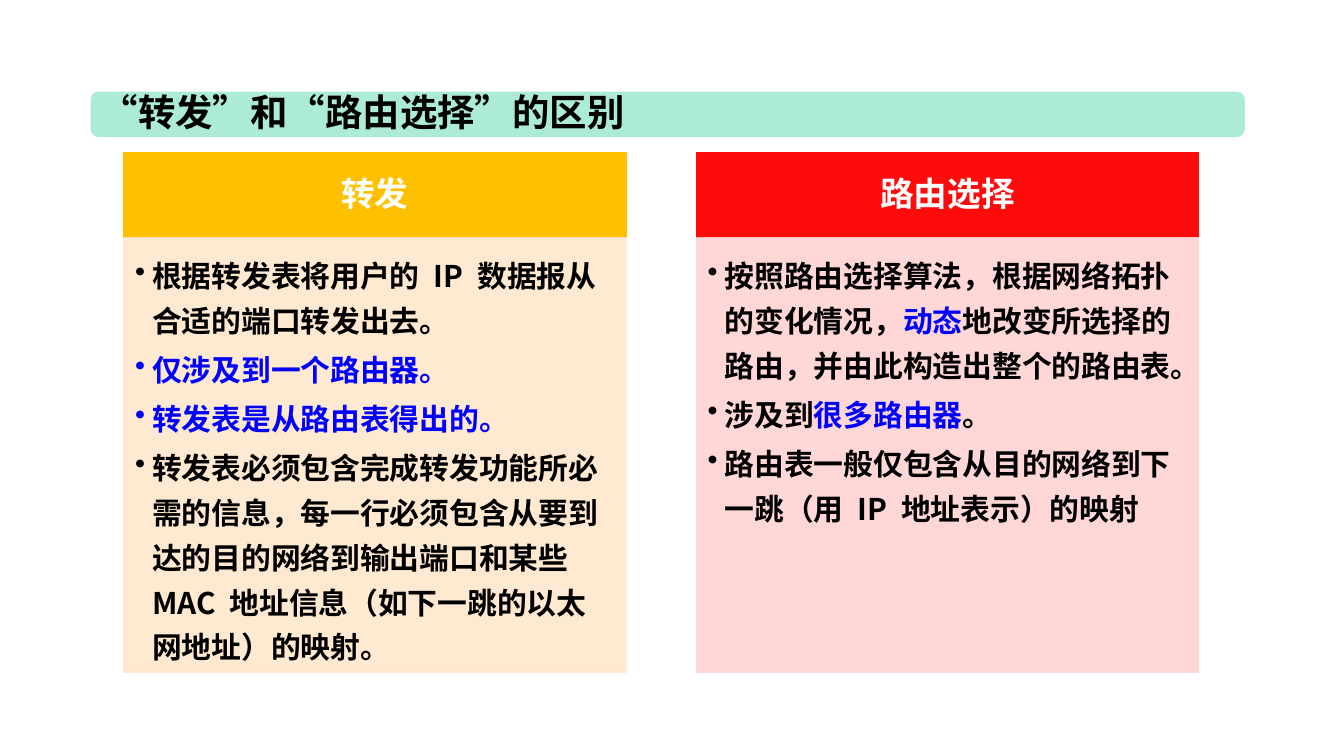
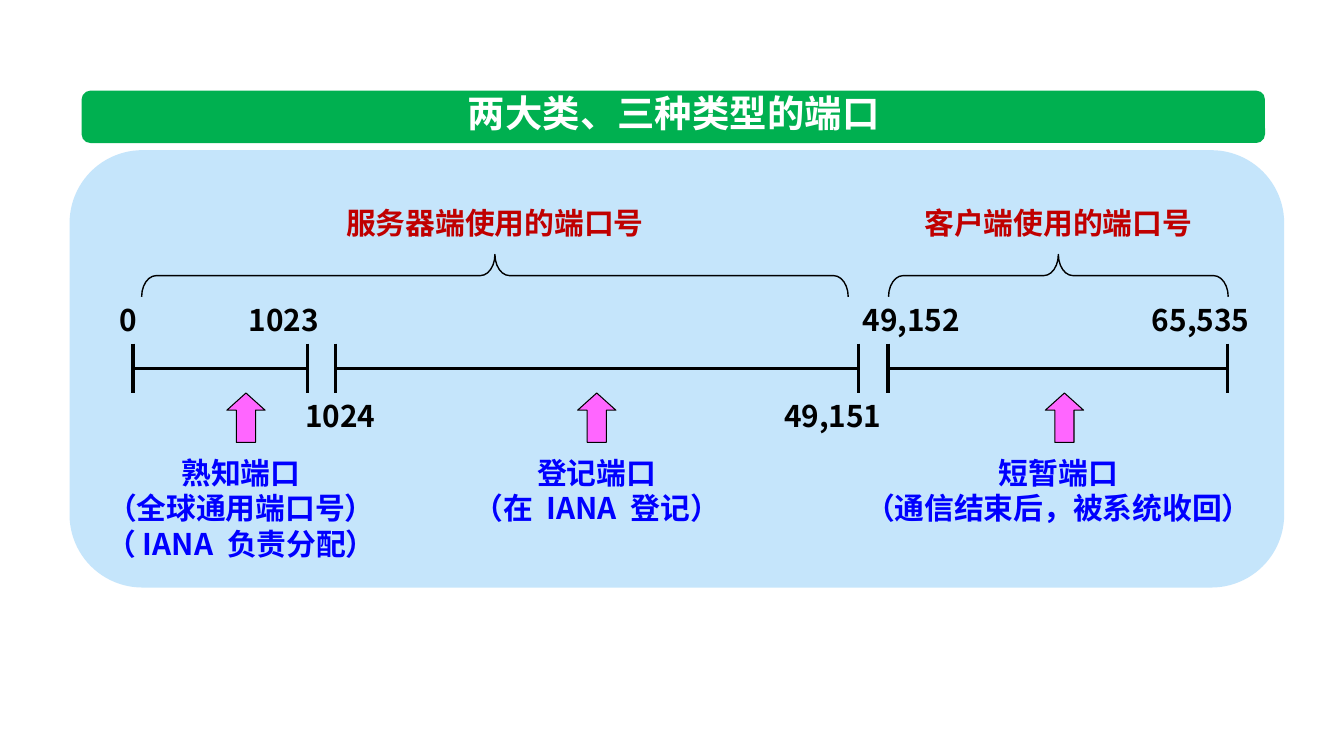
import pptx
import pptx.dml.color
import pptx.enum.shapes
import pptx.enum.text
import pptx.oxml.ns
import pptx.util
import lxml.etree

RGB = pptx.dml.color.RGBColor
KIND = pptx.enum.shapes.MSO_SHAPE
ALIGN = pptx.enum.text.PP_ALIGN
ANCHOR = pptx.enum.text.MSO_ANCHOR
GROW = pptx.enum.text.MSO_AUTO_SIZE.SHAPE_TO_FIT_TEXT
Pt = pptx.util.Pt
qn = pptx.oxml.ns.qn

BLACK = RGB(0, 0, 0)
WHITE = RGB(255, 255, 255)
BLUE = RGB(0, 0, 255)
MINT = RGB(0xAB, 0xEB, 0xD7)
GREEN = RGB(0x00, 0xB0, 0x50)
GOLD = RGB(0xFF, 0xC0, 0x00)
CREAM = RGB(0xFF, 0xE8, 0xCC)
RED = RGB(0xFF, 0x0B, 0x0B)
PINK = RGB(0xFF, 0xD3, 0xD3)
SKY = RGB(0xC5, 0xE5, 0xFB)
DARK = RGB(0xC0, 0x00, 0x00)
ROSE = RGB(0xFF, 0x66, 0xFF)

FONT = "Noto Sans CJK SC"
BIG, MID, BODY = 26.7, 24, 21.3

deck = pptx.Presentation()
deck.slide_width = pptx.util.Inches(13.33)
deck.slide_height = pptx.util.Inches(7.5)
COLS = 160
UNIT = deck.slide_width / COLS


def put(slide, kind, x, y, w, h, fill=None, line=None, width=1):
    area = [round(n * UNIT) for n in (x, y, w, h)]
    if kind is None:
        box = slide.shapes.add_textbox(*area)
        box.text_frame.word_wrap = False
        box.text_frame.auto_size = GROW
        return box
    box = slide.shapes.add_shape(kind, *area)
    box.shadow.inherit = False
    if fill is None:
        box.fill.background()
    else:
        box.fill.solid()
        box.fill.fore_color.rgb = fill
    if line is None:
        box.line.fill.background()
    else:
        box.line.color.rgb = line
        box.line.width = Pt(width)
    return box


def write(box, paras, size, align=ALIGN.LEFT):
    frame = box.text_frame
    for i, runs in enumerate(paras):
        para = frame.paragraphs[0] if i == 0 else frame.add_paragraph()
        para.alignment = align
        for text, tone in runs:
            run = para.add_run()
            run.text = text
            run.font.size = Pt(size)
            run.font.bold = True
            run.font.name = FONT
            run.font.color.rgb = tone
            props = run._r.get_or_add_rPr()
            lxml.etree.SubElement(props, qn("a:ea")).set("typeface", FONT)
    return frame


heads = [
    ("“转发”和“路由选择”的区别", BLACK, MINT, ALIGN.LEFT,
     (10.8, 10.92, 137.4, 5.4), (10.8, 9.96, 65.16, 6.6)),
    ("两大类、三种类型的端口", WHITE, GREEN, ALIGN.CENTER,
     (9.72, 10.8, 140.88, 6.24), (54.36, 10.2, 51.72, 6.6)),
]
slides = []
for text, tone, fill, align, band, spot in heads:
    slide = deck.slides.add_slide(deck.slide_layouts[6])
    slides.append(slide)
    put(slide, KIND.ROUNDED_RECTANGLE, *band, fill)
    write(put(slide, None, *spot), [[(text, tone)]], BIG, align)
first, second = slides

cards = [
    ("转发", GOLD, CREAM, [
        [("根据转发表将用户的 IP 数据报从合适的端口转发出去。", BLACK)],
        [("仅涉及到一个路由器。", BLUE)],
        [("转发表是从路由表得出的。", BLUE)],
        [("转发表必须包含完成转发功能所必需的信息，每一行必须包含从要到达的目的网络到输出端口和某些 MAC 地址信息（如下一跳的以太网地址）的映射。", BLACK)],
    ]),
    ("路由选择", RED, PINK, [
        [("按照路由选择算法，根据网络拓扑的变化情况，", BLACK), ("动态", BLUE),
         ("地改变所选择的路由，并由此构造出整个的路由表。", BLACK)],
        [("涉及到", BLACK), ("很多路由器", BLUE), ("。", BLACK)],
        [("路由表一般仅包含从目的网络到下一跳（用 IP 地址表示）的映射", BLACK)],
    ]),
]
LEFT, STEP, WIDE = 14.76, 68.16, 59.76
TOP, HEAD, DEEP = 18.24, 10.08, 51.72
for i, (name, dark, pale, points) in enumerate(cards):
    x = LEFT + i * STEP
    box = put(first, KIND.RECTANGLE, x, TOP, WIDE, HEAD, dark, dark)
    frame = write(box, [[(name, WHITE)]], MID, ALIGN.CENTER)
    frame.vertical_anchor = ANCHOR.MIDDLE
    frame.paragraphs[0].line_spacing = 0.9

    box = put(first, KIND.RECTANGLE, x, TOP + HEAD, WIDE, DEEP, pale, pale)
    for node in box._element.spPr.iter(qn("a:srgbClr")):
        lxml.etree.SubElement(node, qn("a:alpha")).set("val", "90000")
    frame = write(box, points, BODY)
    frame.word_wrap = True
    frame.vertical_anchor = ANCHOR.TOP
    frame.margin_left = frame.margin_top = pptx.util.Inches(0.11)
    frame.margin_right = pptx.util.Inches(0.15)
    frame.margin_bottom = pptx.util.Inches(0.16)
    dent = pptx.util.Inches(0.17)
    for para in frame.paragraphs:
        para.line_spacing = Pt(32)
        para.space_after = Pt(3)
        props = para._p.get_or_add_pPr()
        props.set("marL", str(dent))
        props.set("indent", str(-dent))
        lxml.etree.SubElement(props, qn("a:buChar")).set("char", "•")

put(second, KIND.ROUNDED_RECTANGLE, 8.28, 17.88, 144.6, 52.08, SKY)

AXIS, HIGH, LOW = 43.92, 40.92, 46.8
for a, b in [(15.84, 36.6), (39.96, 102.24), (105.72, 146.16)]:
    for ends in [(a, AXIS, b, AXIS), (a, HIGH, a, LOW), (b, HIGH, b, LOW)]:
        line = second.shapes.add_connector(
            pptx.enum.shapes.MSO_CONNECTOR.STRAIGHT,
            *[round(n * UNIT) for n in ends])
        line.line.color.rgb = BLACK
        line.line.width = Pt(2.25)
        lxml.etree.SubElement(line._element.spPr, qn("a:effectLst"))

OVER, UNDER, TALL = 35.28, 46.8, 5.52
marks = [
    ("0", 13.08, OVER, 4.68),
    ("1023", 28.44, OVER, 11.28),
    ("1024", 35.16, UNDER, 11.28),
    ("49,151", 92.16, UNDER, 14.52),
    ("49,152", 101.52, OVER, 14.52),
    ("65,535", 135.96, OVER, 14.52),
]
for text, x, y, w in marks:
    write(put(second, None, x, y, w, TALL), [[(text, BLACK)]], BODY)

THICK, MIDDLE = 5.04, 32.82
sides = [
    ("服务器端使用的端口号", 58.92, 38.4, 84.12),
    ("客户端使用的端口号", 126, 34.8, 40.44),
]
for text, mid, w, span in sides:
    box = put(second, None, mid - w / 2, 23.76, w, TALL)
    write(box, [[(text, DARK)]], BODY, ALIGN.CENTER)
    brace = put(second, KIND.RIGHT_BRACE, mid - THICK / 2, MIDDLE - span / 2,
                THICK, span, None, BLACK)
    brace.rotation = 270
    brace.adjustments[0] = 0.345

ports = [
    (29.28, 28.68, 34.8, ["熟知端口", "（全球通用端口号）", "（IANA 负责分配）"]),
    (71.04, 71.04, 32.16, ["登记端口", "（在 IANA 登记）"]),
    (126.72, 126, 49.2, ["短暂端口", "（通信结束后，被系统收回）"]),
]
for tip, mid, w, rows in ports:
    arrow = put(second, KIND.UP_ARROW, tip - 2.28, LOW, 4.56, 5.88, ROSE, BLACK, 0.75)
    arrow.adjustments[1] = 0.45
    box = put(second, None, mid - w / 2, 53.52, w, 1.2 + 4.32 * len(rows))
    write(box, [[(row, BLUE)] for row in rows], BODY, ALIGN.CENTER)

deck.save("out.pptx")
